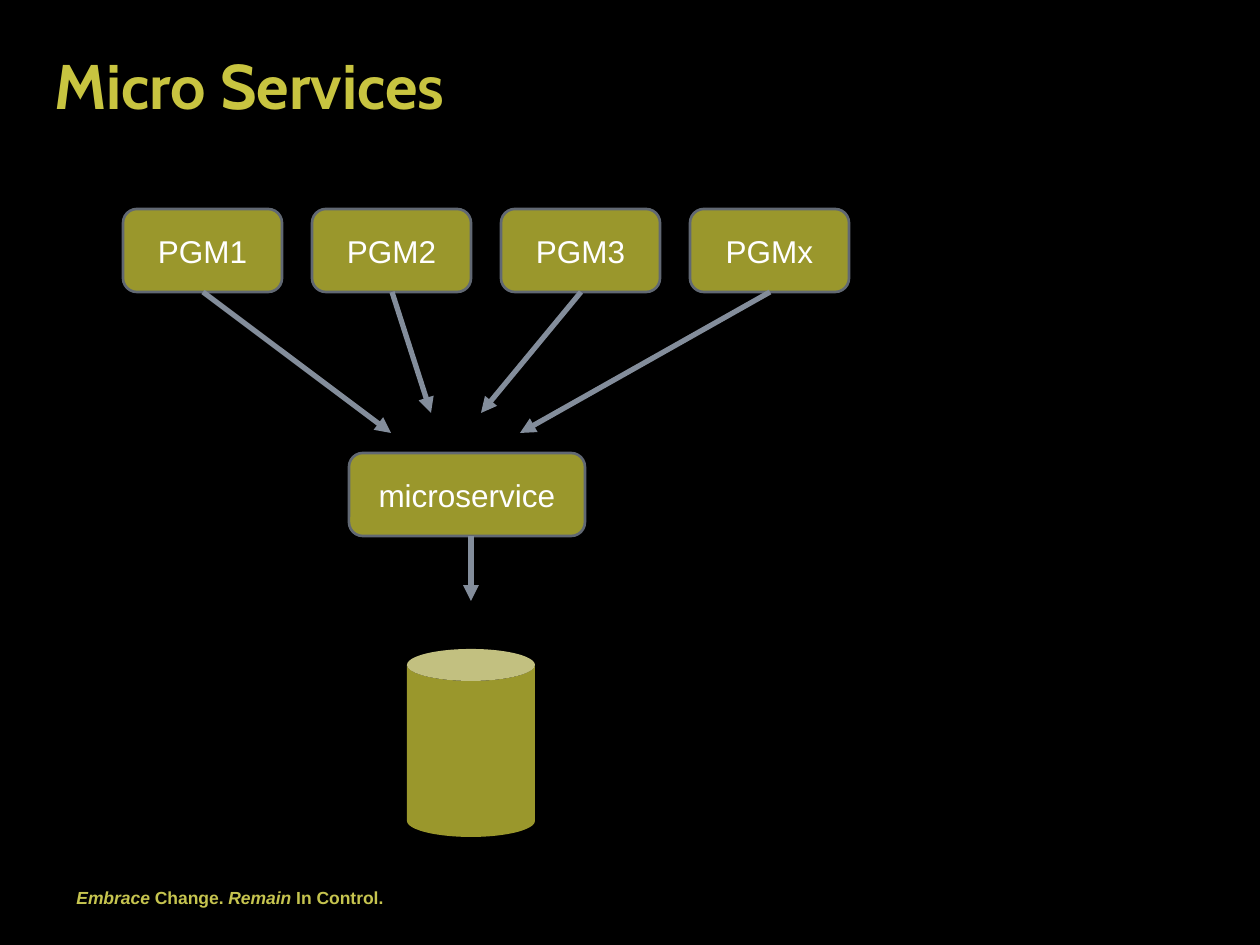
from pptx import Presentation
from pptx.dml.color import RGBColor
from pptx.enum.shapes import MSO_CONNECTOR, MSO_SHAPE
from pptx.enum.text import MSO_ANCHOR, MSO_AUTO_SIZE, PP_ALIGN
from pptx.oxml.ns import qn
from pptx.util import Emu, Pt
from lxml.etree import SubElement

BLACK = RGBColor(0x00, 0x00, 0x00)
WHITE = RGBColor(0xFF, 0xFF, 0xFF)
TITLE_YELLOW = RGBColor(0xC8, 0xC4, 0x40)
TAGLINE_YELLOW = RGBColor(0xC6, 0xC4, 0x4F)
OLIVE = RGBColor(0x9A, 0x97, 0x2C)
OUTLINE_GREY = RGBColor(0x61, 0x68, 0x73)
ARROW_GREY = RGBColor(0x83, 0x8D, 0x9B)

PIXELS_PER_INCH = 126
PROGRAMS = ("PGM1", "PGM2", "PGM3", "PGMx")
PROGRAM_WIDTH, BOX_HEIGHT, PROGRAM_PITCH = 159, 83, 189


def px(pixels):
    """Turn picture pixels into EMU."""
    return Emu(round(pixels * 914400 / PIXELS_PER_INCH))


def add_run(paragraph, text, font_name, size, color, bold=False, italic=False):
    """Append one formatted run to a paragraph."""
    run = paragraph.add_run()
    run.text = text
    font = run.font
    font.name, font.size = font_name, Pt(size)
    font.bold, font.italic = bold, italic
    font.color.rgb = color


def add_title(slide, left, top, width, height):
    """Place and format the title placeholder."""
    title = slide.shapes.title
    title.left, title.top = px(left), px(top)
    title.width, title.height = px(width), px(height)
    frame = title.text_frame
    frame.vertical_anchor = MSO_ANCHOR.BOTTOM
    frame.auto_size = MSO_AUTO_SIZE.NONE
    paragraph = frame.paragraphs[0]
    paragraph.alignment = PP_ALIGN.LEFT
    add_run(paragraph, "Micro Services", "Cabin", 36, TITLE_YELLOW, bold=True)


def add_tagline(slide, left, top, width, height):
    """Write the tagline at the foot of the slide."""
    box = slide.shapes.add_textbox(px(left), px(top), px(width), px(height))
    box.text_frame.word_wrap = False
    paragraph = box.text_frame.paragraphs[0]
    parts = (("Embrace", True), (" Change. ", False),
             ("Remain ", True), ("In Control.", False))
    for text, italic in parts:
        add_run(paragraph, text, "Arial", 10, TAGLINE_YELLOW, True, italic)


def add_solid(slide, kind, left, top, width, height):
    """Add an olive preset shape without a shadow."""
    shape = slide.shapes.add_shape(kind, px(left), px(top), px(width), px(height))
    shape.shadow.inherit = False
    shape.fill.solid()
    shape.fill.fore_color.rgb = OLIVE
    return shape


def add_box(slide, label, left, top, width):
    """Add an outlined, labelled rounded box."""
    box = add_solid(slide, MSO_SHAPE.ROUNDED_RECTANGLE, left, top, width, BOX_HEIGHT)
    box.line.color.rgb = OUTLINE_GREY
    box.line.width = Pt(1.5)
    box.text_frame.vertical_anchor = MSO_ANCHOR.MIDDLE
    paragraph = box.text_frame.paragraphs[0]
    paragraph.alignment = PP_ALIGN.CENTER
    add_run(paragraph, label, "Arial", 18, WHITE)


def add_arrow(slide, start, end):
    """Draw a straight arrow between two points."""
    arrow = slide.shapes.add_connector(
        MSO_CONNECTOR.STRAIGHT, *map(px, start), *map(px, end))
    arrow.line.color.rgb = ARROW_GREY
    arrow.line.width = Pt(3)
    SubElement(arrow.line._get_or_add_ln(), qn("a:tailEnd"), type="triangle")
    SubElement(arrow._element.spPr, qn("a:effectLst"))


def add_diagram(slide, left, top):
    """Draw programs calling a microservice on top of a data store."""
    bottom = top + BOX_HEIGHT
    tips = ((268, 224), (308, 204), (358, 204), (397, 224))
    for index, (label, (tip_x, tip_y)) in enumerate(zip(PROGRAMS, tips)):
        box_left = left + index * PROGRAM_PITCH
        add_box(slide, label, box_left, top, PROGRAM_WIDTH)
        add_arrow(slide, (box_left + PROGRAM_WIDTH // 2 + 1, bottom),
                  (left + tip_x, top + tip_y))

    service_top = top + 244
    add_box(slide, "microservice", left + 226, service_top, 236)

    center = left + 348
    add_arrow(slide, (center, service_top + BOX_HEIGHT), (center, top + 392))
    store = add_solid(slide, MSO_SHAPE.CAN, center - 64, top + 440, 128, 188)
    store.line.fill.background()


def build_slide(presentation):
    """Build the Micro Services slide."""
    slide = presentation.slides.add_slide(presentation.slide_layouts[5])
    slide.background.fill.solid()
    slide.background.fill.fore_color.rgb = BLACK
    add_tagline(slide, 64, 881, 336, 34)
    add_title(slide, 42, 21, 1144, 107)
    add_diagram(slide, 123, 209)


presentation = Presentation()
presentation.slide_width, presentation.slide_height = px(1260), px(945)
build_slide(presentation)
presentation.save("out.pptx")
